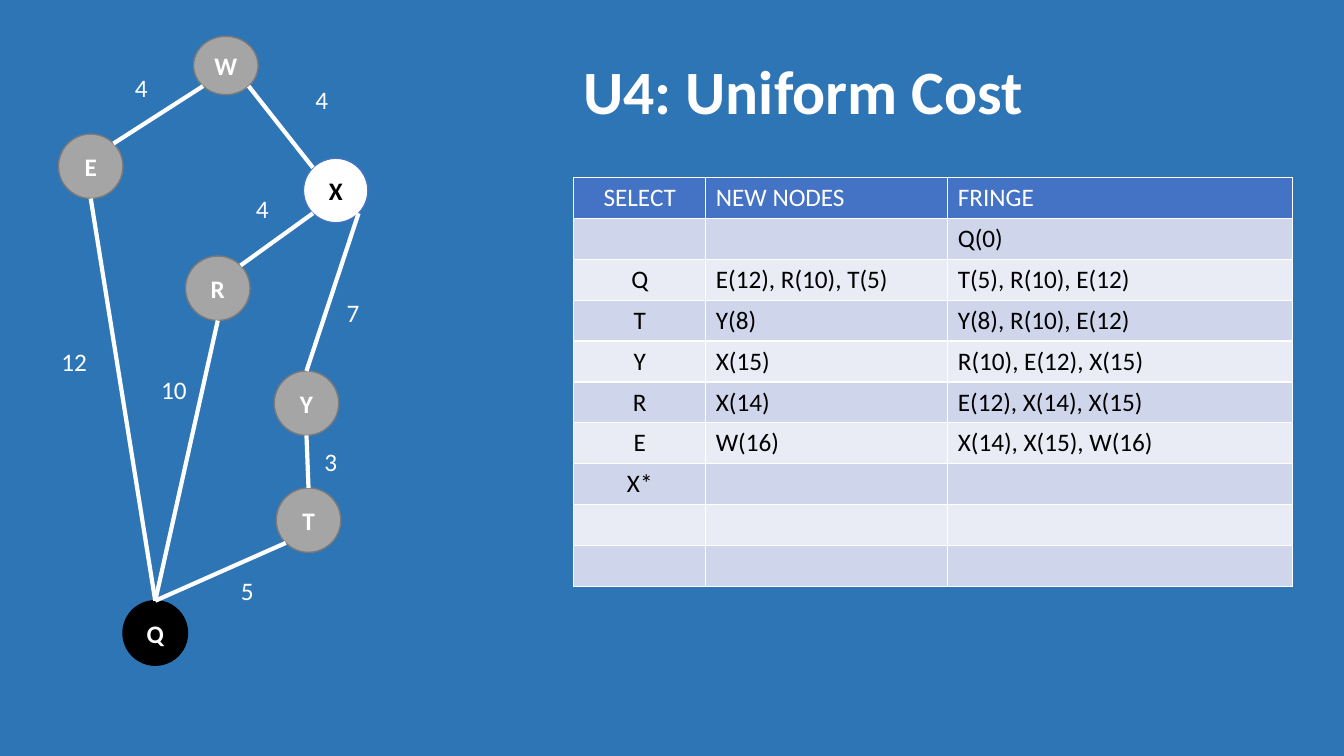
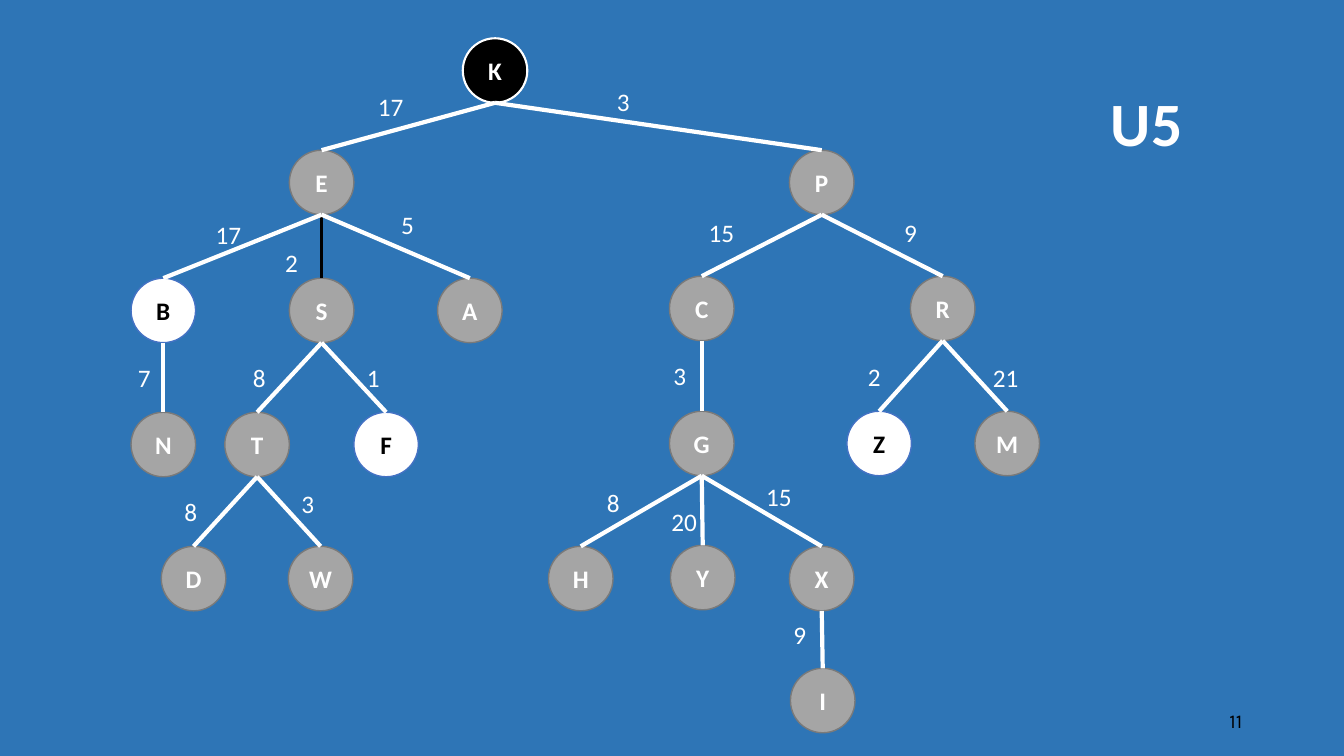
from dataclasses import dataclass
from typing import NamedTuple

from lxml import etree
from pptx import Presentation
from pptx.dml.color import RGBColor
from pptx.enum.shapes import MSO_CONNECTOR, MSO_SHAPE
from pptx.enum.text import MSO_ANCHOR, PP_ALIGN
from pptx.oxml.ns import qn
from pptx.util import Inches, Pt

OVAL = MSO_SHAPE.OVAL
STRAIGHT = MSO_CONNECTOR.STRAIGHT
MIDDLE = MSO_ANCHOR.MIDDLE
LEFT, CENTER, RIGHT = PP_ALIGN.LEFT, PP_ALIGN.CENTER, PP_ALIGN.RIGHT


@dataclass(frozen=True)
class Theme:
    back: RGBColor = RGBColor(0x2E, 0x75, 0xB6)
    white: RGBColor = RGBColor(0xFF, 0xFF, 0xFF)
    black: RGBColor = RGBColor(0, 0, 0)
    gray: RGBColor = RGBColor(0xA5, 0xA5, 0xA5)
    rim: RGBColor = RGBColor(0x7A, 0x7A, 0x7A)
    blue: RGBColor = RGBColor(0x44, 0x72, 0xC4)
    dark: RGBColor = RGBColor(0xCF, 0xD5, 0xEA)
    light: RGBColor = RGBColor(0xE9, 0xEB, 0xF5)
    font: str = "Calibri"
    foot: str = "Karla"
    head: int = 44
    body: int = 18
    small: int = 14
    edge: float = 3
    thin: float = 2.25


T = Theme()


class Skin(NamedTuple):
    fill: RGBColor
    line: RGBColor
    width: float
    ink: RGBColor


PLAIN = Skin(T.gray, T.rim, 1, T.white)
GOAL = Skin(T.white, T.blue, 1, T.black)
START = Skin(T.black, T.black, 1, T.white)
ROOT = Skin(T.black, T.white, 1.5, T.white)

SIZE = 0.64
DIAG = 0.5 ** 1.5
TOP, NW, SW, BOTTOM, SE, NE = 0, 1, 3, 4, 5, 7
SITES = {TOP: (0, -0.5), NW: (-DIAG, -DIAG), SW: (-DIAG, DIAG),
         BOTTOM: (0, 0.5), SE: (DIAG, DIAG), NE: (DIAG, -DIAG)}

GRAPH = {"X": (3.01, 1.57), "Q": (1.22, 5.96), "Y": (2.72, 3.68),
         "W": (1.92, 0.36), "T": (2.74, 4.84), "E": (0.58, 1.33),
         "R": (1.84, 2.54)}
LINKS = [("W", SW, "E", NE), ("E", BOTTOM, "Q", TOP),
         ("Q", TOP, "R", BOTTOM), ("W", SE, "X", NW),
         ("Y", BOTTOM, "T", TOP), ("Q", TOP, "T", SW),
         ("X", SE, "Y", TOP), ("R", NE, "X", SW)]
COSTS = [("12", 0.51, 3.39), ("10", 1.5, 3.66), ("5", 2.29, 5.66),
         ("4", 3.03, 0.79), ("4", 1.24, 0.67), ("4", 2.44, 1.87),
         ("7", 3.34, 2.9), ("3", 3.12, 4.38)]
STEPS = [("SELECT", "NEW NODES", "FRINGE"),
         ("", "", "Q(0)"),
         ("Q", "E(12), R(10), T(5)", "T(5), R(10), E(12)"),
         ("T", "Y(8)", "Y(8), R(10), E(12)"),
         ("Y", "X(15)", "R(10), E(12), X(15)"),
         ("R", "X(14)", "E(12), X(14), X(15)"),
         ("E", "W(16)", "X(14), X(15), W(16)"),
         ("X*", "", ""),
         ("", "", ""),
         ("", "", "")]

LEVELS = [(0.38, {"K": 4.59}),
          (1.49, {"E": 2.87, "P": 7.83}),
          (2.76, {"B": 1.3, "S": 2.87, "A": 4.34}),
          (2.74, {"C": 6.64, "R": 9.03}),
          (4.09, {"N": 1.3, "T": 2.23, "F": 3.51}),
          (4.08, {"G": 6.64, "Z": 8.4, "M": 9.67}),
          (5.42, {"D": 1.6, "W": 2.86, "H": 5.44, "X": 7.83}),
          (5.41, {"Y": 6.65}),
          (6.63, {"I": 7.84})]
KIDS = {"K": "EP", "E": "SBA", "B": "N", "S": "TF", "T": "DW", "X": "I",
        "P": "CR", "C": "G", "R": "ZM", "G": "HYX"}
PRICES = [("17", 3.65, 0.86), ("5", 3.88, 2.03), ("17", 2.04, 2.13),
          ("3", 6.02, 0.81), ("9", 7.77, 6.09), ("3", 6.58, 3.53),
          ("1", 3.54, 3.55), ("8", 2.41, 3.55), ("7", 1.27, 3.55),
          ("9", 8.87, 2.11), ("15", 6.93, 2.11), ("8", 5.92, 4.79),
          ("3", 2.89, 4.8), ("8", 1.73, 4.87), ("21", 9.75, 3.55),
          ("2", 8.51, 3.54), ("15", 7.5, 4.73), ("20", 6.56, 4.97),
          ("2", 2.73, 2.4)]


def write(frame, text, ink, size=T.body, font=T.font, bold=False, align=LEFT):
    frame.text = text
    line = frame.paragraphs[0]
    line.alignment = align
    line.font.size = Pt(size)
    for run in line.runs:
        run.font.name = font
        run.font.size = Pt(size)
        run.font.bold = bold
        run.font.color.rgb = ink
    return line


def add_page(deck):
    page = deck.slides.add_slide(deck.slide_layouts[6])
    fill = page.background.fill
    fill.solid()
    fill.fore_color.rgb = T.back
    return page


def add_box(page, left, top, width, height):
    box = page.shapes.add_textbox(
        Inches(left), Inches(top), Inches(width), Inches(height))
    box.text_frame.word_wrap = True
    return box.text_frame


def add_title(page, text, left, top, width):
    frame = add_box(page, left, top, width, 1.45)
    frame.vertical_anchor = MIDDLE
    write(frame, text, T.white, T.head, bold=True).line_spacing = 0.9


def add_number(page, text):
    frame = add_box(page, 11.3, 6.95, 1.12, 0.4)
    frame.vertical_anchor = MIDDLE
    write(frame, text, T.black, T.small, T.foot, align=RIGHT)


def add_label(page, text, left, top):
    frame = add_box(page, left, top, 0.21 + 0.12 * len(text), 0.4)
    frame.word_wrap = False
    write(frame, text, T.white)


def add_node(page, name, left, top, skin=PLAIN, height=SIZE):
    node = page.shapes.add_shape(
        OVAL, Inches(left), Inches(top), Inches(SIZE), Inches(height))
    node.shadow.inherit = False
    node.fill.solid()
    node.fill.fore_color.rgb = skin.fill
    node.line.color.rgb = skin.line
    node.line.width = Pt(skin.width)
    node.text_frame.vertical_anchor = MIDDLE
    write(node.text_frame, name, skin.ink, bold=True, align=CENTER)
    return node


def find_site(node, site):
    across, down = SITES[site]
    return (int(node.left + node.width * (0.5 + across)),
            int(node.top + node.height * (0.5 + down)))


def add_edge(page, first, out, last, into, color=T.white, width=T.edge):
    edge = page.shapes.add_connector(
        STRAIGHT, *find_site(first, out), *find_site(last, into))
    edge.line.color.rgb = color
    edge.line.width = Pt(width)
    etree.SubElement(edge._element.spPr, qn("a:effectLst"))
    joint = edge._element.nvCxnSpPr.cNvCxnSpPr
    for tag, node, site in (("a:stCxn", first, out), ("a:endCxn", last, into)):
        etree.SubElement(joint, qn(tag), id=str(node.shape_id), idx=str(site))


def add_grid(page, rows, widths, left, top, step):
    frame = page.shapes.add_table(
        len(rows), len(widths), Inches(left), Inches(top),
        Inches(sum(widths)), Inches(step * len(rows)))
    grid = frame.table
    for column, width in zip(grid.columns, widths):
        column.width = Inches(width)
    for r, row in enumerate(rows):
        grid.rows[r].height = Inches(step)
        shade = T.blue if r == 0 else T.dark if r % 2 else T.light
        ink = T.black if r else T.white
        for c, text in enumerate(row):
            cell = grid.cell(r, c)
            cell.fill.solid()
            cell.fill.fore_color.rgb = shade
            write(cell.text_frame, text, ink, align=LEFT if c else CENTER)


def draw_cost(deck):
    page = add_page(deck)
    skins = {"X": GOAL, "Q": START}
    nodes = {name: add_node(page, name, left, top, skins.get(name, PLAIN),
                            0.58 if name == "W" else SIZE)
             for name, (left, top) in GRAPH.items()}
    for first, out, last, into in LINKS:
        add_edge(page, nodes[first], out, nodes[last], into)
    for cost in COSTS:
        add_label(page, *cost)
    add_title(page, "U4: Uniform Cost", 5.69, 0.21, 7.13)
    add_grid(page, STEPS, (1.31, 2.4, 3.42), 5.69, 1.76, 0.406)


def draw_tree(deck):
    page = add_page(deck)
    add_number(page, "11")
    skins = {"K": ROOT, "B": GOAL, "F": GOAL, "Z": GOAL}
    nodes = {name: add_node(page, name, left, top, skins.get(name, PLAIN))
             for top, row in LEVELS for name, left in row.items()}
    for name, kids in KIDS.items():
        for kid in kids:
            style = (T.black, T.thin) if name + kid == "ES" else ()
            add_edge(page, nodes[name], BOTTOM, nodes[kid], TOP, *style)
    for price in PRICES:
        add_label(page, *price)
    add_title(page, "U5", 10.92, 0.53, 1.58)


def main():
    deck = Presentation()
    deck.slide_width = Inches(13.33)
    deck.slide_height = Inches(7.5)
    draw_cost(deck)
    draw_tree(deck)
    deck.save("out.pptx")


if __name__ == "__main__":
    main()
